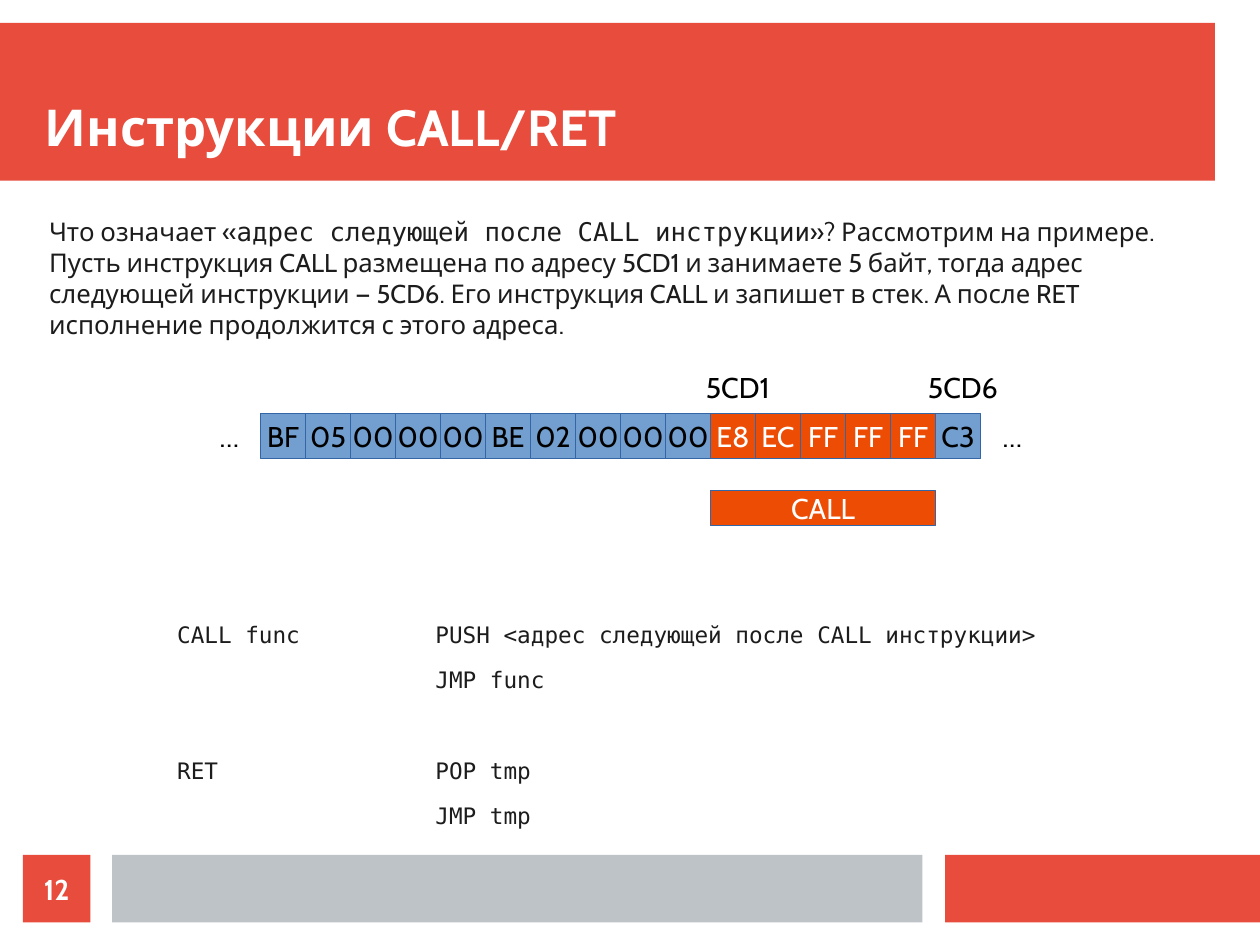
from dataclasses import dataclass

from lxml.etree import SubElement
from pptx import Presentation
from pptx.dml.color import RGBColor
from pptx.enum.shapes import MSO_SHAPE
from pptx.enum.text import MSO_ANCHOR, PP_ALIGN
from pptx.oxml.ns import qn
from pptx.util import Inches, Pt

SANS, MONO = "Cabin", "DejaVu Sans Mono"
RED, GRAY, BLUE, ORANGE = "E74C3C", "BDC3C7", "729FCF", "ED4C05"
EDGE, WHITE, BLACK, INK = "3465A4", "FFFFFF", "000000", "1C1C1C"
CELL = 1 / 2.54
WIDTH, HEIGHT = 28 * CELL, 21 * CELL
ROW_LEFT, ROW_TOP = 2.28, 3.62
BYTES = "BF 05 00 00 00 BE 02 00 00 00 E8 EC FF FF FF C3".split()
CALL_AT, CALL_LEN = 10, 5
CALL_LEFT = ROW_LEFT + CALL_AT * CELL
TABS = 1.2, 3.46


@dataclass
class Area:
    left: float
    top: float
    width: float
    height: float

    def place(self) -> list:
        return [Inches(n) for n in (self.left, self.top, self.width, self.height)]


@dataclass
class Block:
    area: Area
    fill: str
    text: str = ""
    ink: str = WHITE
    edge: str = ""
    bold: bool = False


@dataclass
class Label:
    area: Area
    text: str


@dataclass
class Code:
    left: str
    right: str
    before: float = 0


def color(value: str) -> RGBColor:
    return RGBColor.from_string(value)


def style(font, face: str, size: float, ink: str, bold: bool = False) -> None:
    font.name = face
    font.size = Pt(size)
    font.color.rgb = color(ink)
    font.bold = bold


def center(frame, text: str, ink: str, bold: bool = False) -> None:
    frame.word_wrap = False
    frame.vertical_anchor = MSO_ANCHOR.MIDDLE
    frame.margin_left = frame.margin_right = 0
    frame.margin_top = frame.margin_bottom = 0
    line = frame.paragraphs[0]
    line.text = text
    line.alignment = PP_ALIGN.CENTER
    style(line.font, SANS, 18, ink, bold)


def draw_block(slide, block: Block) -> None:
    shape = slide.shapes.add_shape(MSO_SHAPE.RECTANGLE, *block.area.place())
    shape.shadow.inherit = False
    shape.fill.solid()
    shape.fill.fore_color.rgb = color(block.fill)
    if block.edge:
        shape.line.color.rgb = color(block.edge)
        shape.line.width = Pt(0)
    else:
        shape.line.fill.background()
    if block.text:
        center(shape.text_frame, block.text, block.ink, block.bold)


def draw_label(slide, label: Label) -> None:
    box = slide.shapes.add_textbox(*label.area.place())
    center(box.text_frame, label.text, BLACK)


def add_frame(slide, area: Area):
    frame = slide.shapes.add_textbox(*area.place()).text_frame
    frame.word_wrap = True
    frame.margin_left = frame.margin_right = 0
    frame.margin_top = frame.margin_bottom = 0
    return frame


def draw_title(slide) -> None:
    frame = add_frame(slide, Area(0.39, 0.39, 10.24, 0.98))
    frame.vertical_anchor = MSO_ANCHOR.BOTTOM
    line = frame.paragraphs[0]
    line.text = "Инструкции CALL/RET"
    style(line.font, SANS, 32, WHITE, True)


def draw_intro(slide) -> None:
    line = add_frame(slide, Area(0.43, 1.89, 10.04, 1.1)).paragraphs[0]
    parts = (
        ("Что означает «", SANS),
        ("адрес следующей после CALL инструкции", MONO),
        ("»? Рассмотрим на примере. Пусть инструкция CALL размещена по адресу "
         "5CD1 и занимаете 5 байт, тогда адрес следующей инструкции — 5CD6. "
         "Его инструкция CALL и запишет в стек. А после RET исполнение "
         "продолжится с этого адреса.", SANS),
    )
    for text, face in parts:
        run = line.add_run()
        run.text = text
        style(run.font, face, 16.2, INK)


def draw_code(slide, lines: list[Code]) -> None:
    frame = add_frame(slide, Area(0.35, 5.43, 10.04, 1.69))
    for i, code in enumerate(lines):
        line = frame.add_paragraph() if i else frame.paragraphs[0]
        line.text = f"\t{code.left}\t{code.right}"
        stops = SubElement(line._p.get_or_add_pPr(), qn("a:tabLst"))
        for stop in TABS:
            SubElement(stops, qn("a:tab"), pos=str(Inches(stop)), algn="l")
        line.space_after = Pt(11.4)
        if code.before:
            line.space_before = Pt(code.before)
        style(line.font, MONO, 14.3, INK)


def draw_bytes(slide) -> None:
    for i, byte in enumerate(BYTES):
        call = CALL_AT <= i < CALL_AT + CALL_LEN
        area = Area(ROW_LEFT + i * CELL, ROW_TOP, CELL, CELL)
        fill, ink = (ORANGE, WHITE) if call else (BLUE, BLACK)
        draw_block(slide, Block(area, fill, byte, ink, EDGE))


def main() -> None:
    deck = Presentation()
    deck.slide_width, deck.slide_height = Inches(WIDTH), Inches(HEIGHT)
    slide = deck.slides.add_slide(deck.slide_layouts[6])

    blocks = [
        Block(Area(0, 0.2, 10.63, 1.38), RED),
        Block(Area(8.27, 7.48, WIDTH - 8.27, 0.59), RED),
        Block(Area(0.98, 7.48, 7.09, 0.59), GRAY),
    ]
    for block in blocks:
        draw_block(slide, block)
    draw_title(slide)

    draw_code(slide, [
        Code("CALL func", "PUSH <адрес следующей после CALL инструкции>"),
        Code("", "JMP func"),
        Code("RET", "POP tmp", before=28.7),
        Code("", "JMP tmp"),
    ])
    draw_bytes(slide)

    labels = [
        Label(Area(1.81, ROW_TOP, CELL, CELL), "…"),
        Label(Area(8.66, ROW_TOP, CELL, CELL), "…"),
        Label(Area(6.14, 3.23, 0.63, 0.31), "5CD1"),
        Label(Area(8.11, 3.23, 0.63, 0.31), "5CD6"),
    ]
    for label in labels:
        draw_label(slide, label)
    draw_intro(slide)

    call = Area(CALL_LEFT, 4.29, CALL_LEN * CELL, 0.31)
    draw_block(slide, Block(call, ORANGE, "CALL", edge=EDGE))
    page = Area(0.2, 7.48, 0.59, 0.59)
    draw_block(slide, Block(page, RED, "12", bold=True))
    deck.save("out.pptx")


if __name__ == "__main__":
    main()
